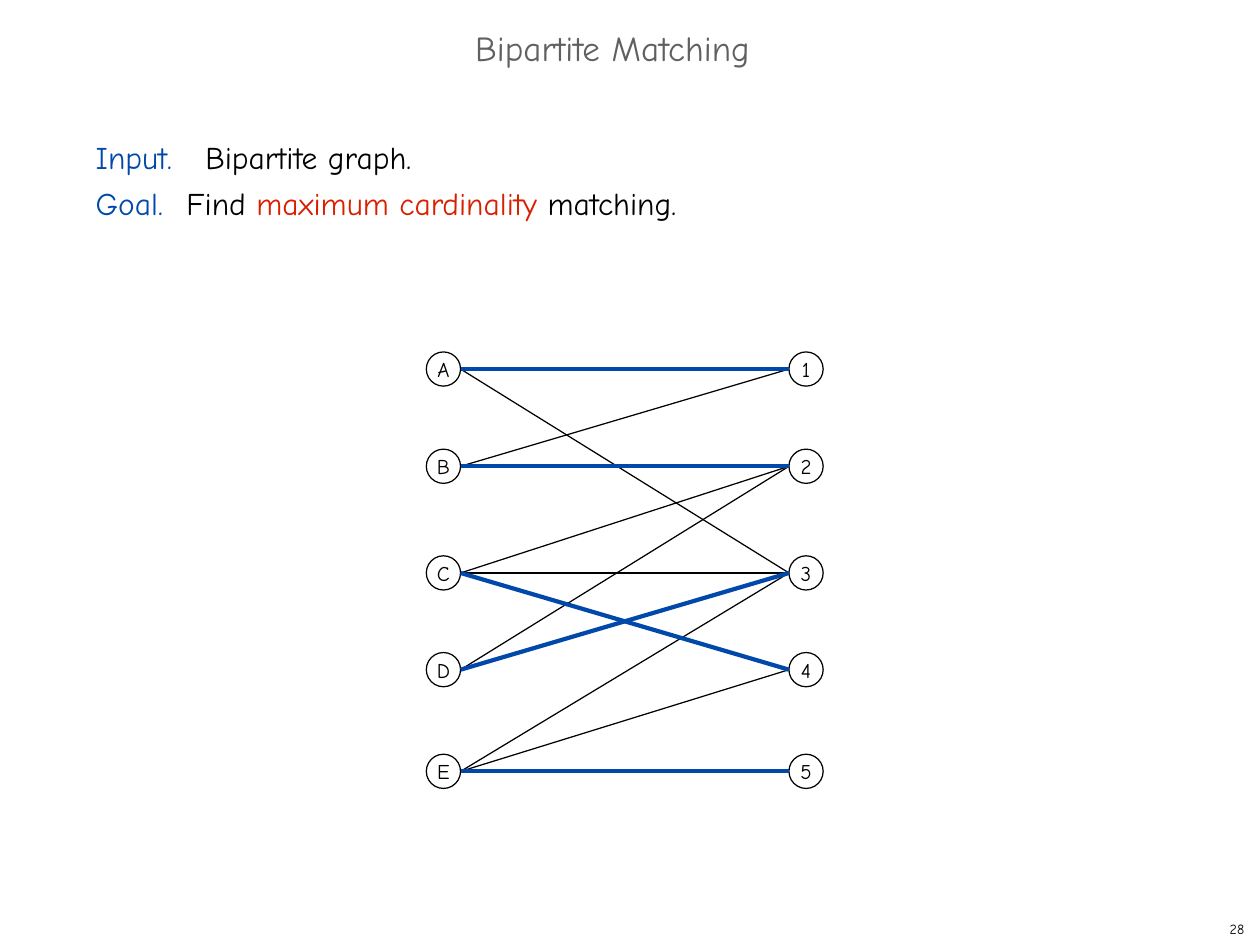
from pptx import Presentation
from pptx.dml.color import RGBColor
from pptx.enum.shapes import MSO_CONNECTOR, MSO_SHAPE
from pptx.enum.text import MSO_ANCHOR, PP_ALIGN
from pptx.oxml.ns import qn
from pptx.util import Cm, Pt
from lxml.etree import SubElement

COLORS = {"title": "5F6061", "blue": "0048AA", "red": "D81F00", "black": "000000"}
FONT = "Comic Neue"

prs = Presentation()
prs.slide_width, prs.slide_height = Cm(25.4), Cm(19.05)
s = prs.slides.add_slide(prs.slide_layouts[6])


def add_run(p, text, size, color):
    r = p.add_run()
    r.text = text
    r.font.name = FONT
    r.font.size = Pt(size)
    r.font.color.rgb = RGBColor.from_string(COLORS[color])


def add_box(x, y, w, h, inset_top):
    tf = s.shapes.add_textbox(Cm(x), Cm(y), Cm(w), Cm(h)).text_frame
    tf.word_wrap = True
    tf.margin_left = Cm(0.03)
    tf.margin_right = tf.margin_bottom = 0
    tf.margin_top = Cm(inset_top)
    return tf


# Title
tf = add_box(9.55, 0.48, 6.27, 0.91, 0.05)
add_run(tf.paragraphs[0], "Bipartite Matching", 20, "title")

# Problem statement: tab stop in cm, then runs
statement = [
    (2.21, [("Input.\t", "blue"), ("Bipartite graph.", "black")]),
    (1.83, [("Goal.\t", "blue"), ("Find ", "black"),
            ("maximum cardinality ", "red"), ("matching.", "black")]),
]
tf = add_box(1.9, 2.57, 12.4, 1.9, 0.22)
for i, (tab, runs) in enumerate(statement):
    p = tf.add_paragraph() if i else tf.paragraphs[0]
    tabs = SubElement(p._p.get_or_add_pPr(), qn("a:tabLst"))
    SubElement(tabs, qn("a:tab"), pos=str(Cm(tab)), algn="l")
    if i:
        p.space_before = Pt(4.3)
    for text, color in runs:
        add_run(p, text, 18, color)

# Graph nodes
DIAMETER = 0.69
LEFT_X, RIGHT_X = 8.94, 16.25
ROWS = [7.44, 9.4, 11.55, 13.5, 15.55]
centers = {}
for labels, x in (("ABCDE", LEFT_X), ("12345", RIGHT_X)):
    for label, y in zip(labels, ROWS):
        centers[label] = (x, y)
        sp = s.shapes.add_shape(MSO_SHAPE.OVAL, Cm(x - DIAMETER / 2), Cm(y - DIAMETER / 2),
                                Cm(DIAMETER), Cm(DIAMETER))
        sp.shadow.inherit = False
        sp.fill.background()
        sp.line.color.rgb = RGBColor.from_string(COLORS["black"])
        sp.line.width = Pt(0.72)
        tf = sp.text_frame
        tf.word_wrap = False
        tf.vertical_anchor = MSO_ANCHOR.MIDDLE
        tf.margin_left = tf.margin_right = tf.margin_top = tf.margin_bottom = 0
        p = tf.paragraphs[0]
        p.alignment = PP_ALIGN.CENTER
        add_run(p, label, 12, "black")

# Edges: the unmatched ones first, the matching on top
edge_sets = [
    (["A3", "B1", "C2", "C3", "D2", "E3", "E4"], "black", 0.72),
    (["A1", "B2", "C4", "D3", "E5"], "blue", 2.4),
]
for edges, color, width in edge_sets:
    for start, end in edges:
        (x1, y1), (x2, y2) = centers[start], centers[end]
        edge = s.shapes.add_connector(MSO_CONNECTOR.STRAIGHT, Cm(x1 + DIAMETER / 2), Cm(y1),
                                      Cm(x2 - DIAMETER / 2), Cm(y2))
        edge.line.color.rgb = RGBColor.from_string(COLORS[color])
        edge.line.width = Pt(width)
        SubElement(edge._element.spPr, qn("a:effectLst"))

# Page number
tf = add_box(24.69, 18.49, 0.6, 0.46, 0.06)
tf.margin_left = Cm(0.1)
add_run(tf.paragraphs[0], "28", 8, "black")

prs.save("out.pptx")
